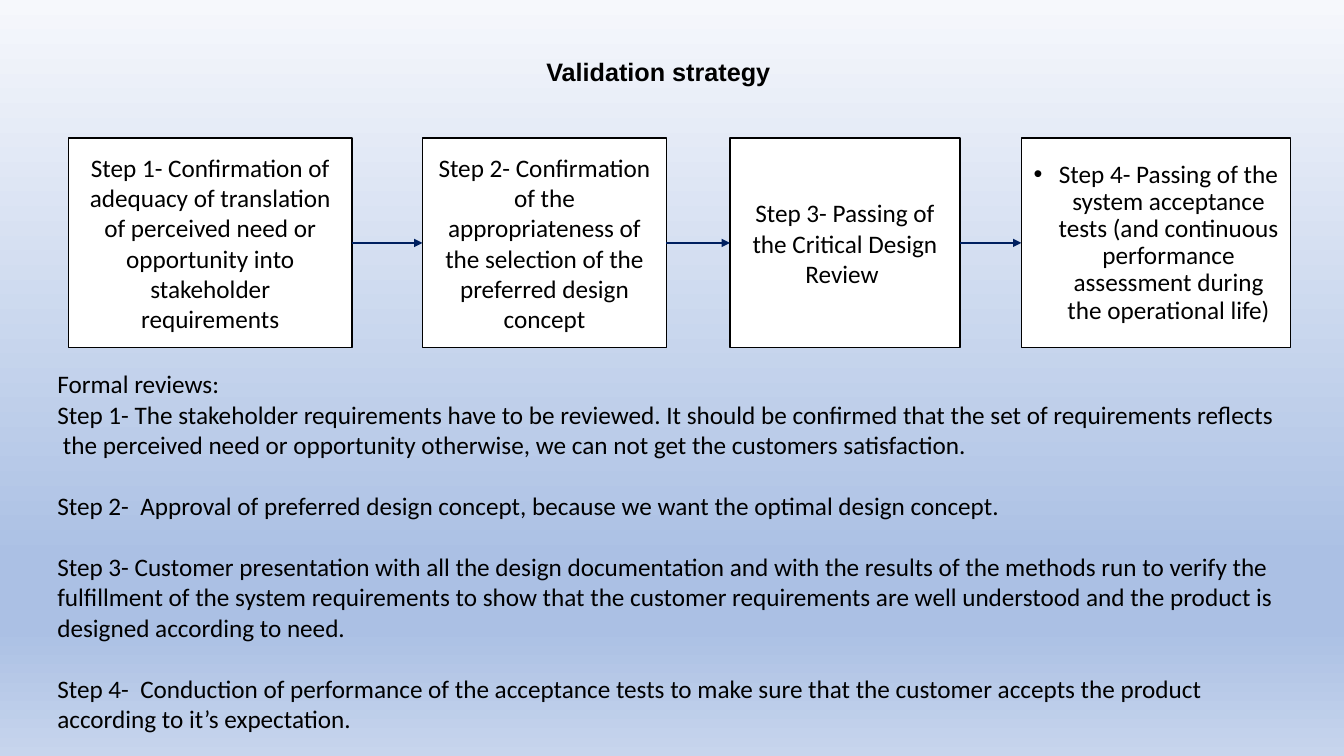
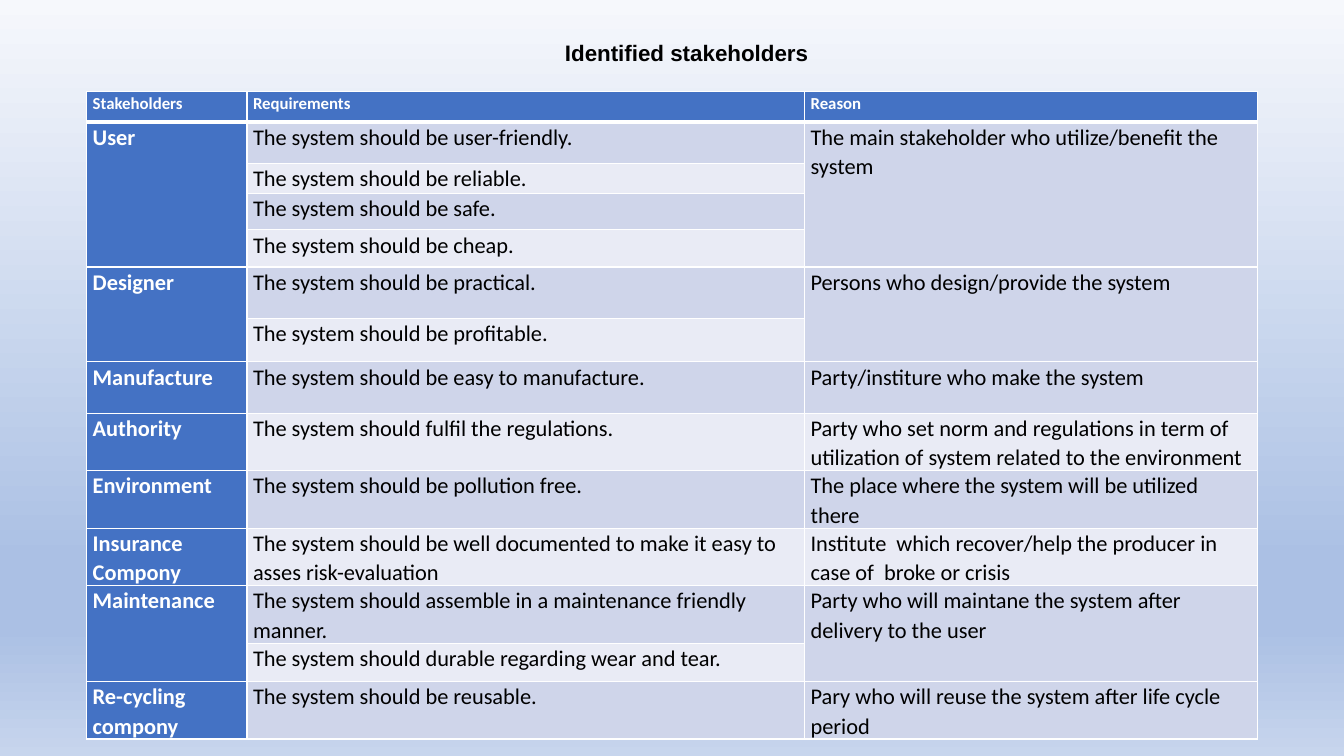
from lxml import etree
from pptx import Presentation
from pptx.dml.color import RGBColor
from pptx.enum.shapes import MSO_CONNECTOR, MSO_SHAPE
from pptx.enum.text import MSO_ANCHOR, PP_ALIGN
from pptx.oxml.ns import qn
from pptx.util import Inches, Pt

RECT = MSO_SHAPE.RECTANGLE
STRAIGHT = MSO_CONNECTOR.STRAIGHT
TOP, MIDDLE = MSO_ANCHOR.TOP, MSO_ANCHOR.MIDDLE
LEFT, CENTER = PP_ALIGN.LEFT, PP_ALIGN.CENTER

BLACK = RGBColor(0x00, 0x00, 0x00)
WHITE = RGBColor(0xFF, 0xFF, 0xFF)
NAVY = RGBColor(0x00, 0x20, 0x60)
HEADER_BLUE = RGBColor(0x44, 0x72, 0xC4)
BAND_DARK = RGBColor(0xCF, 0xD5, 0xEA)
BAND_LIGHT = RGBColor(0xE9, 0xEB, 0xF5)
BACKGROUND_STOPS = [
    (0, RGBColor(0xF6, 0xF8, 0xFC)),
    (74, RGBColor(0xAB, 0xC0, 0xE4)),
    (83, RGBColor(0xAB, 0xC0, 0xE4)),
    (100, RGBColor(0xC7, 0xD5, 0xED)),
]
TITLE_FONT, BODY_FONT = "Arial", "Calibri"

# Left edge, width and text of each step
STEPS = [
    (0.68, 2.81, "Step 1- Confirmation of adequacy of translation of perceived need "
                 "or opportunity into stakeholder requirements"),
    (4.19, 2.42, "Step 2- Confirmation of the appropriateness of the selection of the "
                 "preferred design concept"),
    (7.24, 2.28, "Step 3- Passing of the Critical Design Review "),
    (10.13, 2.67, "Step 4- Passing of the system acceptance tests (and continuous "
                  "performance assessment during the operational life)"),
]

# Each group of lines is set apart from the one before
REVIEWS = [
    ["Formal reviews:",
     "Step 1- The stakeholder requirements have to be reviewed. It should be confirmed "
     "that the set of requirements reflects",
     " the perceived need or opportunity otherwise, we can not get the customers "
     "satisfaction."],
    ["Step 2-  Approval of preferred design concept, because we want the optimal design "
     "concept."],
    ["Step 3- Customer presentation with all the design documentation and with the results "
     "of the methods run to verify the fulfillment of the system requirements to show that "
     "the customer requirements are well understood and the product is designed according "
     "to need."],
    ["Step 4-  Conduction of performance of the acceptance tests to make sure that the "
     "customer accepts the product according to it’s expectation."],
]

HEADERS = ["Stakeholders", "Requirements", "Reason"]
STAKEHOLDERS = [
    ("User",
     ["The system should be user-friendly.", "The system should be reliable.",
      "The system should be safe.", "The system should be cheap."],
     "The main stakeholder who utilize/benefit the system"),
    ("Designer",
     ["The system should be practical.", "The system should be profitable."],
     "Persons who design/provide the system"),
    ("Manufacture", ["The system should be easy to manufacture."],
     "Party/institure who make the system"),
    ("Authority", ["The system should fulfil the regulations."],
     "Party who set norm and regulations in term of utilization of system related to the "
     "environment"),
    ("Environment", ["The system should be pollution free."],
     "The place where the system will be utilized there"),
    ("Insurance Compony",
     ["The system should be well documented to make it easy to asses risk-evaluation"],
     "Institute  which recover/help the producer in case of  broke or crisis"),
    ("Maintenance",
     ["The system should assemble in a maintenance friendly manner.",
      "The system should durable regarding wear and tear."],
     "Party who will maintane the system after delivery to the user"),
    ("Re-cycling compony", ["The system should be reusable."],
     "Pary who will reuse the system after life cycle period"),
]
COLUMN_WIDTHS = [1.59, 5.53, 4.49]
ROW_HEIGHTS = [0.3, 0.41, 0.3, 0.36, 0.37, 0.51, 0.43, 0.51, 0.48, 0.49, 0.44, 0.4, 0.38, 0.51]


def inches(box):
    return [Inches(v) for v in box]


def set_background(master):
    """Give every slide the vertical gradient."""
    fill = master.background.fill
    fill.gradient()
    fill.gradient_angle = 270
    stops = master.element.find(".//" + qn("a:gsLst"))
    for stop in list(stops):
        stops.remove(stop)
    for percent, color in BACKGROUND_STOPS:
        stop = etree.SubElement(stops, qn("a:gs"), pos=str(percent * 1000))
        etree.SubElement(stop, qn("a:srgbClr"), val=str(color))


def format_paragraph(p, size, color=BLACK, bold=False, font=BODY_FONT, align=LEFT):
    p.alignment = align
    for r in p.runs:
        r.font.name = font
        r.font.size = Pt(size)
        r.font.bold = bold
        r.font.color.rgb = color


def add_title(slide, box, text, size, anchor):
    tf = slide.shapes.add_textbox(*inches(box)).text_frame
    tf.word_wrap = True
    tf.vertical_anchor = anchor
    tf.text = text
    p = tf.paragraphs[0]
    p.line_spacing = 0.9
    format_paragraph(p, size, bold=True, font=TITLE_FONT, align=CENTER)


def add_step(slide, box, text):
    sp = slide.shapes.add_shape(RECT, *inches(box))
    sp.shadow.inherit = False
    sp.fill.solid()
    sp.fill.fore_color.rgb = WHITE
    sp.line.color.rgb = BLACK
    sp.line.width = Pt(1)
    tf = sp.text_frame
    tf.word_wrap = True
    tf.vertical_anchor = MIDDLE
    tf.text = text
    format_paragraph(tf.paragraphs[0], 18, align=CENTER)
    return sp


def add_bullet(p, indent):
    p.line_spacing = 0.9
    pPr = p._p.get_or_add_pPr()
    pPr.set("marL", str(Inches(indent)))
    pPr.set("indent", str(-Inches(indent)))
    etree.SubElement(pPr, qn("a:buFont"), typeface=TITLE_FONT)
    etree.SubElement(pPr, qn("a:buChar"), char="•")


def add_arrow(slide, start, end):
    """Join the right side of one step to the left side of the next."""
    arrow = slide.shapes.add_connector(STRAIGHT, 0, 0, 0, 0)
    arrow.begin_connect(start, 3)
    arrow.end_connect(end, 1)
    arrow.line.color.rgb = NAVY
    arrow.line.width = Pt(1.5)
    etree.SubElement(arrow.line._get_or_add_ln(), qn("a:tailEnd"), type="triangle")
    etree.SubElement(arrow._element.spPr, qn("a:effectLst"))


def add_flow(slide, top, height):
    steps = [add_step(slide, (left, top, width, height), text) for left, width, text in STEPS]
    add_bullet(steps[-1].text_frame.paragraphs[0], 0.25)
    for start, end in zip(steps, steps[1:]):
        add_arrow(slide, start, end)


def add_reviews(slide, box):
    tf = slide.shapes.add_textbox(*inches(box)).text_frame
    tf.word_wrap = True
    for g, group in enumerate(REVIEWS):
        for i, text in enumerate(group):
            first = g == i == 0
            p = tf.paragraphs[0] if first else tf.add_paragraph()
            p.text = text
            if g and i == 0:
                p.space_before = Pt(22)
            format_paragraph(p, 18)


def add_border(cell, side, width):
    ln = etree.SubElement(cell._tc.get_or_add_tcPr(), qn("a:" + side), w=str(Pt(width)))
    fill = etree.SubElement(ln, qn("a:solidFill"))
    etree.SubElement(fill, qn("a:srgbClr"), val=str(WHITE))


def format_cell(cell, row, col):
    is_header = row == 0
    is_label = is_header or col == 0
    thick_side = {0: "lnB", 1: "lnT"}.get(row)
    for side in ("lnL", "lnR", "lnT", "lnB"):
        add_border(cell, side, 3 if side == thick_side else 1)
    cell.fill.solid()
    band = BAND_DARK if row % 2 else BAND_LIGHT
    cell.fill.fore_color.rgb = HEADER_BLUE if is_label else band
    cell.margin_left = cell.margin_right = Inches(0.06)
    cell.margin_top = cell.margin_bottom = 0
    p = cell.text_frame.paragraphs[0]
    p.line_spacing = 1.07
    p.space_after = Pt(8)
    format_paragraph(p, 12 if is_header else 16, WHITE if is_label else BLACK, is_label)


def add_stakeholder_table(slide, left, top):
    box = inches((left, top, sum(COLUMN_WIDTHS), sum(ROW_HEIGHTS)))
    table = slide.shapes.add_table(len(ROW_HEIGHTS), len(COLUMN_WIDTHS), *box).table
    for column, width in zip(table.columns, COLUMN_WIDTHS):
        column.width = Inches(width)
    for row, height in zip(table.rows, ROW_HEIGHTS):
        row.height = Inches(height)
    for col, text in enumerate(HEADERS):
        table.cell(0, col).text = text
    row = 1
    for name, requirements, reason in STAKEHOLDERS:
        last = row + len(requirements) - 1
        for col, text in ((0, name), (2, reason)):
            table.cell(row, col).text = text
            if last > row:
                table.cell(row, col).merge(table.cell(last, col))
        for i, requirement in enumerate(requirements):
            table.cell(row + i, 1).text = requirement
        row = last + 1
    for row in range(len(ROW_HEIGHTS)):
        for col in range(len(COLUMN_WIDTHS)):
            format_cell(table.cell(row, col), row, col)


def build_strategy(slide):
    add_title(slide, (0.78, 0, 11.5, 1.45), "Validation strategy", 18, MIDDLE)
    add_flow(slide, 1.37, 2.08)
    add_reviews(slide, (0.47, 3.61, 12.52, 3.8))


def build_stakeholders(slide):
    add_title(slide, (0.92, 0.37, 11.78, 0.75), "Identified stakeholders", 16, TOP)
    add_stakeholder_table(slide, 0.86, 0.91)


def main():
    prs = Presentation()
    prs.slide_width, prs.slide_height = Inches(13.33), Inches(7.5)
    set_background(prs.slide_master)
    for build in (build_strategy, build_stakeholders):
        build(prs.slides.add_slide(prs.slide_layouts[6]))
    prs.save("out.pptx")


if __name__ == "__main__":
    main()
